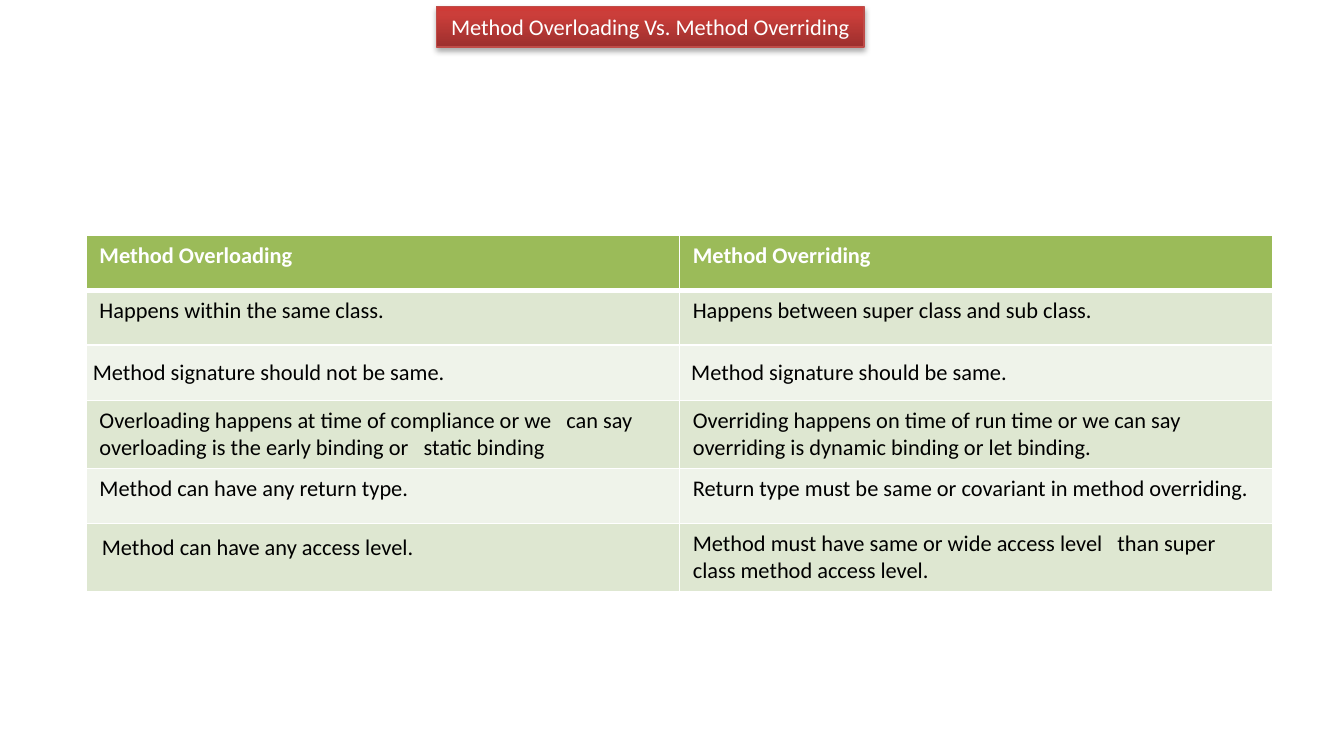
from lxml import etree
from pptx import Presentation
from pptx.dml.color import RGBColor
from pptx.enum.shapes import MSO_SHAPE
from pptx.enum.text import MSO_ANCHOR, PP_ALIGN
from pptx.oxml.ns import qn
from pptx.util import Inches, Pt

RECT = MSO_SHAPE.RECTANGLE
TOP, MIDDLE = MSO_ANCHOR.TOP, MSO_ANCHOR.MIDDLE
LEFT, CENTER, JUSTIFY = PP_ALIGN.LEFT, PP_ALIGN.CENTER, PP_ALIGN.JUSTIFY

TITLE = "Method Overloading Vs. Method Overriding"
ROWS = [
    ("Method Overloading", "Method Overriding"),
    ("Happens within the same class.",
     "Happens between super class and sub class."),
    ("Method signature should not be same.",
     " Method signature should be same."),
    ("Overloading happens at time of compliance or we   can say "
     "overloading is the early binding or   static binding",
     "Overriding happens on time of run time or we can say "
     "  overriding is dynamic binding or let binding."),
    ("Method can have any return type.",
     "Return type must be same or covariant in method overriding."),
    (" Method can have any access level.",
     "Method must have same or wide access level   than super "
     "class method access level."),
]
SIGNATURE_ROW = 2
INSETS = {(2, 0): 0.05, (2, 1): 0.05, (5, 0): 0.08}
HEADER_FILL, BAND_FILLS = "9BBB59", ("EFF3EA", "DEE7D1")
GRADIENT = [(0, "9C2F2D"), (80, "CB3E3A"), (100, "CE3B37")]


def rgb(value):
    return RGBColor.from_string(value)


def add(parent, tag, **attrs):
    return etree.SubElement(parent, qn(tag), {k: str(v) for k, v in attrs.items()})


def write(tf, text, color="000000", bold=False, align=LEFT):
    p = tf.paragraphs[0]
    p.alignment = align
    r = p.add_run()
    r.text = text
    r.font.name, r.font.size, r.font.bold = "Calibri", Pt(12), bold
    r.font.color.rgb = rgb(color)


def set_borders(cell, header):
    tcPr = cell._tc.get_or_add_tcPr()
    for i, side in enumerate("LRTB"):
        width = 3 if header and side == "B" else 1
        ln = etree.Element(qn(f"a:ln{side}"), w=str(Pt(width)))
        add(add(ln, "a:solidFill"), "a:srgbClr", val="FFFFFF")
        tcPr.insert(i, ln)


def add_title(s):
    sp = s.shapes.add_shape(RECT, Inches(3.25), Inches(0.05), Inches(3.18), Inches(0.3))
    sp.fill.gradient()
    sp.fill.gradient_angle = 90
    stops = sp._element.spPr.find(".//" + qn("a:gsLst"))
    stops.clear()
    for pos, color in GRADIENT:
        add(add(stops, "a:gs", pos=pos * 1000), "a:srgbClr", val=color)
    sp.line.color.rgb = rgb("BF4C48")
    sp.line.width = Pt(0.75)
    sp.shadow.inherit = False
    effects = sp._element.spPr.find(qn("a:effectLst"))
    shadow = add(effects, "a:outerShdw", blurRad=Pt(3.1), dist=Pt(1.8),
                 dir=90 * 60000, rotWithShape=0)
    add(add(shadow, "a:srgbClr", val="000000"), "a:alpha", val=35000)
    sp.text_frame.word_wrap = False
    write(sp.text_frame, TITLE, color="FFFFFF", align=CENTER)


def add_comparison(s):
    row_height = Inches(0.41)
    table = s.shapes.add_table(len(ROWS), 2, Inches(0.64), Inches(1.75),
                               Inches(8.83), row_height * len(ROWS)).table
    for i, row in enumerate(ROWS):
        table.rows[i].height = row_height
        header = i == 0
        for j, text in enumerate(row):
            cell = table.cell(i, j)
            cell.fill.solid()
            cell.fill.fore_color.rgb = rgb(HEADER_FILL if header else BAND_FILLS[i % 2])
            set_borders(cell, header)
            cell.vertical_anchor = MIDDLE if i == SIGNATURE_ROW else TOP
            if (i, j) in INSETS:
                inset = Inches(INSETS[i, j])
                cell.margin_left = cell.margin_right = inset
                cell.margin_top = cell.margin_bottom = inset
            write(cell.text_frame, text, color="FFFFFF" if header else "000000",
                  bold=header, align=JUSTIFY if (i, j) == (SIGNATURE_ROW, 0) else LEFT)


def main():
    prs = Presentation()
    prs.slide_width, prs.slide_height = Inches(10), Inches(5.5)
    s = prs.slides.add_slide(prs.slide_layouts[6])
    add_title(s)
    add_comparison(s)
    prs.save("out.pptx")


if __name__ == "__main__":
    main()
